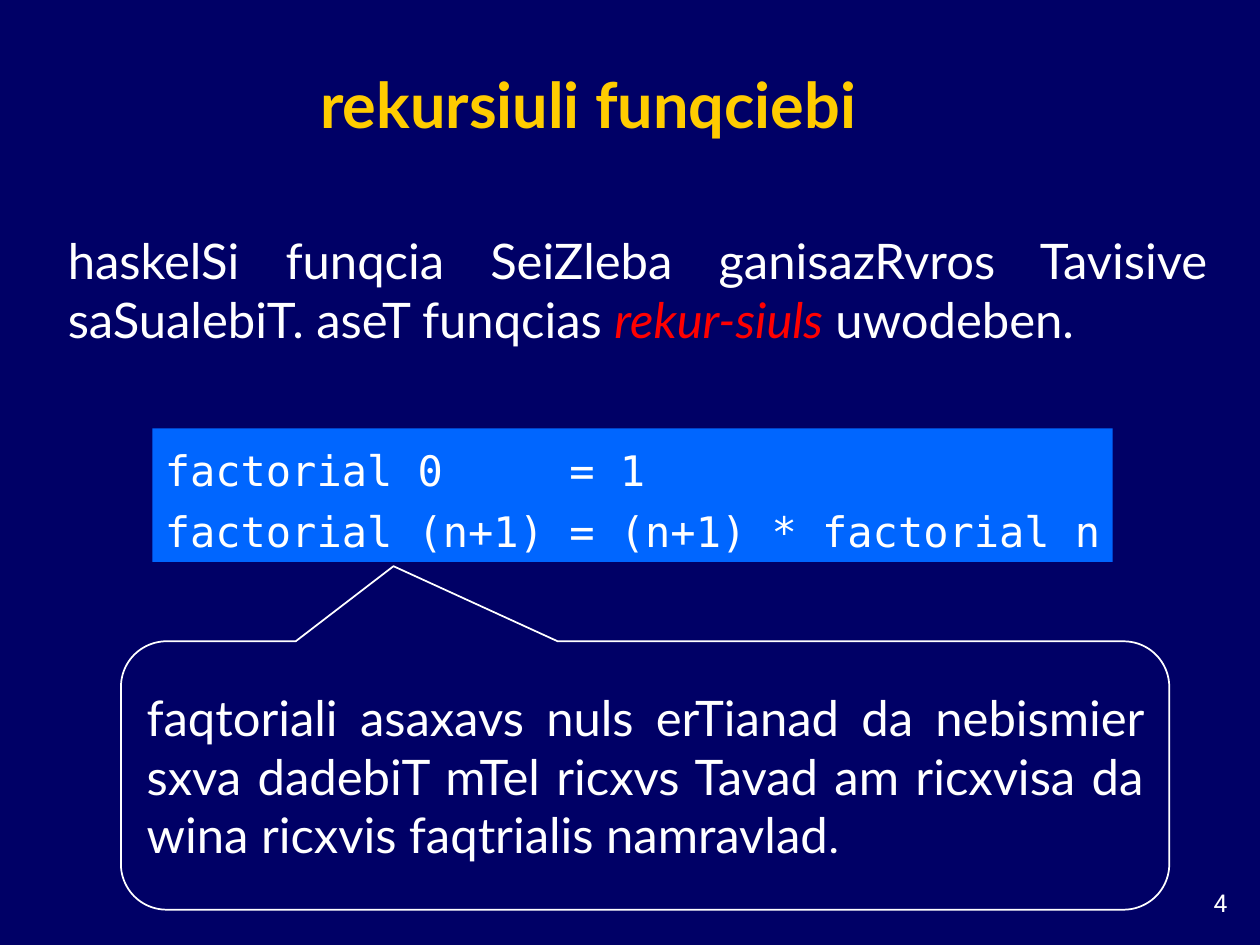
from pptx import Presentation
from pptx.dml.color import RGBColor
from pptx.enum.shapes import MSO_SHAPE
from pptx.enum.text import MSO_ANCHOR, MSO_AUTO_SIZE, PP_ALIGN
from pptx.util import Inches, Pt

LEFT, RIGHT, CENTER, JUSTIFY = (
    PP_ALIGN.LEFT, PP_ALIGN.RIGHT, PP_ALIGN.CENTER, PP_ALIGN.JUSTIFY)
TOP, MIDDLE, BOTTOM = MSO_ANCHOR.TOP, MSO_ANCHOR.MIDDLE, MSO_ANCHOR.BOTTOM
RECT, CALLOUT = MSO_SHAPE.RECTANGLE, MSO_SHAPE.ROUNDED_RECTANGULAR_CALLOUT
NAVY, BLUE, GOLD, RED, WHITE = "000066", "0066FF", "FFCC00", "FF0000", "FFFFFF"

# Each paragraph is a list of (text, changes to the base font).
TITLE = [[("rekursiuli funqciebi", {})]]
INTRO = [[
    ("haskelSi funqcia SeiZleba ganisazRvros Tavisive saSualebiT. "
     "aseT funqcias ", {}),
    ("rekur-siuls", {"color": RED, "italic": True}),
    (" uwodeben.", {}),
]]
RULES = [("factorial 0", "1"), ("factorial (n+1)", "(n+1) * factorial n")]
NOTE = [[
    ("faqtoriali asaxavs nuls erTianad da nebismier sxva dadebiT mTel ricxvs "
     "Tavad am ricxvisa da wina ricxvis faqtrialis namravlad", {}),
    (".", {"name": "Roboto"}),
]]
NUMBER = [[("4", {})]]

BODY = {"name": "Lato", "size": Pt(28), "color": WHITE}
HEAD = {"name": "Lato", "size": Pt(36), "color": GOLD, "bold": True}
CODE = {"name": "DejaVu Sans Mono", "size": Pt(24), "color": WHITE}
SMALL = {"name": "Roboto", "size": Pt(14), "color": WHITE}


def rgb(code):
    return RGBColor.from_string(code)


def box(*lengths):
    return [Inches(n) for n in lengths]


def write(shape, paras, font, align, anchor=MIDDLE, wrap=True, spacing=1.0):
    frame = shape.text_frame
    frame.auto_size = MSO_AUTO_SIZE.NONE
    frame.word_wrap = wrap
    frame.vertical_anchor = anchor
    for i, runs in enumerate(paras):
        para = frame.add_paragraph() if i else frame.paragraphs[0]
        para.alignment = align
        para.line_spacing = spacing
        for text, change in runs:
            run = para.add_run()
            run.text = text
            for key, value in {**font, **change}.items():
                if key == "color":
                    run.font.color.rgb = rgb(value)
                else:
                    setattr(run.font, key, value)


def main():
    deck = Presentation()
    deck.slide_width, deck.slide_height = box(10, 7.5)
    slide = deck.slides.add_slide(deck.slide_layouts[5])
    slide.background.fill.solid()
    slide.background.fill.fore_color.rgb = rgb(NAVY)
    shapes = slide.shapes

    title = shapes.title
    title.left, title.top, title.width, title.height = box(0.42, 0.42, 8.5, 0.75)
    write(title, TITLE, HEAD, CENTER, BOTTOM)

    intro = shapes.add_textbox(*box(0.44, 1.78, 9.24, 1.04))
    write(intro, INTRO, BODY, JUSTIFY)

    code = shapes.add_shape(RECT, *box(1.21, 3.4, 7.62, 1.06))
    code.shadow.inherit = False
    code.fill.solid()
    code.fill.fore_color.rgb = rgb(BLUE)
    code.line.fill.background()
    width = max(len(left) for left, _ in RULES)
    lines = [[(f"{left:<{width}} = {right}", {})] for left, right in RULES]
    write(code, lines, CODE, LEFT, wrap=False, spacing=1.2)

    note = shapes.add_shape(CALLOUT, *box(0.96, 5.09, 8.32, 2.13))
    note.shadow.inherit = False
    note.fill.background()
    note.line.color.rgb = rgb(WHITE)
    note.line.width = Pt(1)
    for i, value in enumerate((-0.24, -0.78, 0.17)):
        note.adjustments[i] = value
    write(note, NOTE, BODY, JUSTIFY)

    number = shapes.add_textbox(*box(9.17, 7, 0.67, 0.33))
    write(number, NUMBER, SMALL, RIGHT, TOP)

    deck.save("out.pptx")


if __name__ == "__main__":
    main()
